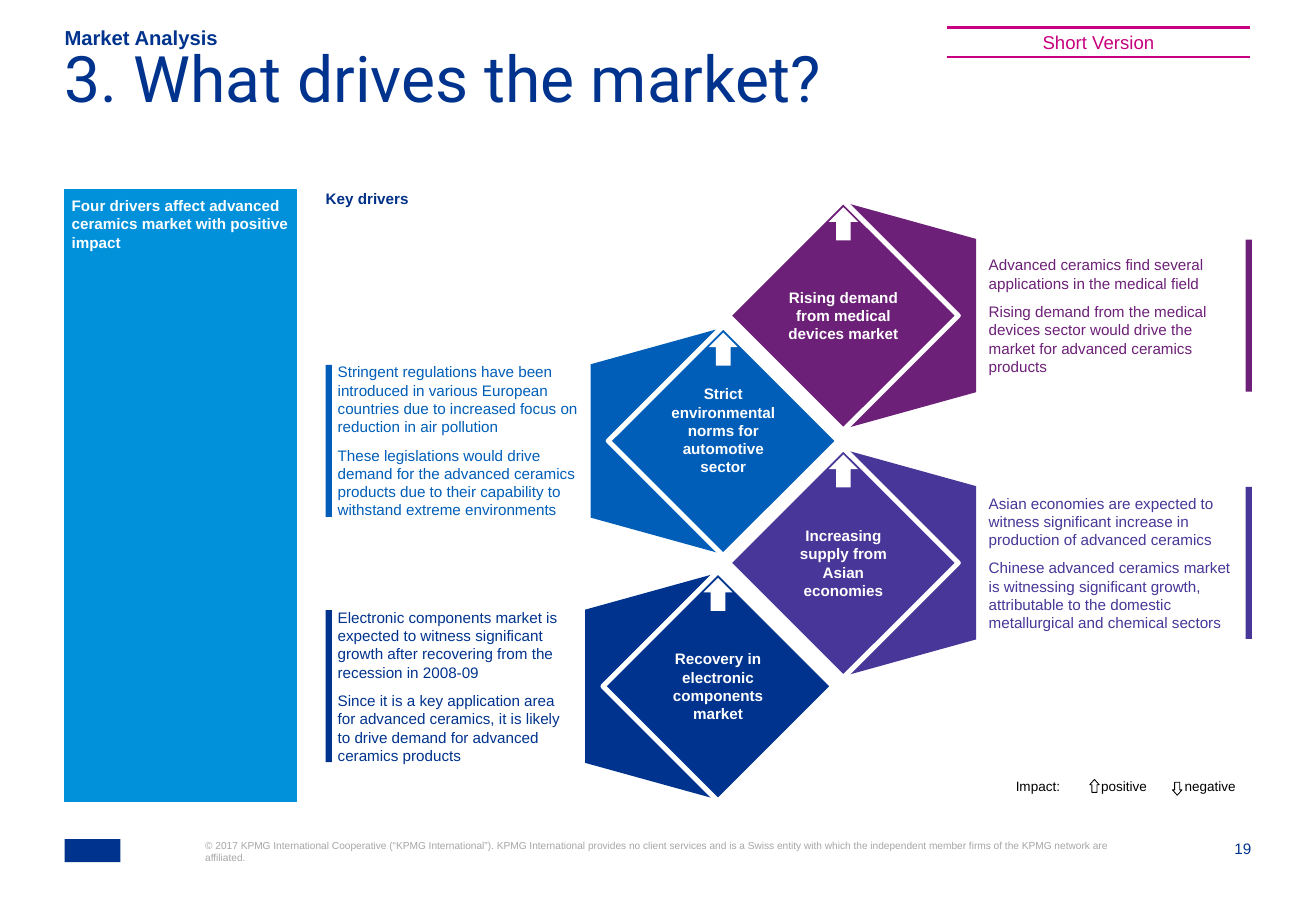
"""Build the market drivers slide with four diamonds and their explanations."""
from lxml.etree import SubElement
from pptx import Presentation
from pptx.dml.color import RGBColor
from pptx.enum.shapes import MSO_CONNECTOR, MSO_SHAPE
from pptx.enum.text import MSO_ANCHOR, MSO_AUTO_SIZE, PP_ALIGN
from pptx.oxml.ns import qn
from pptx.util import Cm, Pt

NAVY = RGBColor(0x00, 0x33, 0x8D)
HEADING_NAVY = RGBColor(0x00, 0x30, 0x87)
BLUE = RGBColor(0x00, 0x5E, 0xB8)
LIGHT_BLUE = RGBColor(0x00, 0x91, 0xDA)
PURPLE = RGBColor(0x6D, 0x20, 0x77)
VIOLET = RGBColor(0x48, 0x36, 0x98)
PINK = RGBColor(0xC6, 0x00, 0x7E)
GREY = RGBColor(0xA6, 0xA6, 0xA6)
WHITE = RGBColor(0xFF, 0xFF, 0xFF)
BLACK = RGBColor(0x00, 0x00, 0x00)

TITLE = "3. What drives the market?"
SECTION = "Market Analysis"
VERSION = "Short Version"
MESSAGE = "Four drivers affect advanced ceramics market with positive impact"
HEADING = "Key drivers"
COPYRIGHT = (
    "© 2017 KPMG International Cooperative (“KPMG International”). KPMG International "
    "provides no client services and is a Swiss entity with which the independent member "
    "firms of the KPMG network are affiliated."
)
PAGE = "19"
DRIVERS = [
    dict(name="Strict environmental norms for automotive sector",
         details=["Stringent regulations have been introduced in various European countries "
                  "due to increased focus on reduction in air pollution",
                  "These legislations would drive demand for the advanced ceramics products "
                  "due to their capability to withstand extreme environments"],
         colour=BLUE, center=(15.12, 9.22), side=-1, details_width=5.69, name_shift=-0.22),
    dict(name="Rising demand from medical devices market",
         details=["Advanced ceramics find several applications in the medical field",
                  "Rising demand from the medical devices sector would drive the market "
                  "for advanced ceramics products"],
         colour=PURPLE, center=(17.63, 6.6), side=1, details_width=5.72, name_shift=0),
    dict(name="Increasing supply from Asian economies",
         details=["Asian economies are expected to witness significant increase in "
                  "production of advanced ceramics",
                  "Chinese advanced ceramics market is witnessing significant growth, "
                  "attributable to the domestic metallurgical and chemical sectors"],
         colour=VIOLET, center=(17.63, 11.77), side=1, details_width=5.72, name_shift=0),
    dict(name="Recovery in electronic components market",
         details=["Electronic components market is expected to witness significant growth "
                  "after recovering from the recession in 2008-09",
                  "Since it is a key application area for advanced ceramics, it is likely "
                  "to drive demand for advanced ceramics products"],
         colour=NAVY, center=(15.01, 14.35), side=-1, details_width=5.44, name_shift=0),
]
LEGEND = ["Impact:", "positive", "negative"]
LEGEND_ARROWS = [(MSO_SHAPE.UP_ARROW, 22.78, 16.3), (MSO_SHAPE.DOWN_ARROW, 24.51, 16.36)]

DIAMOND = 3.4
TRAPEZOID = (4.75, 2.79)
TRAPEZOID_OFFSET = 1.38
ARROW = (0.61, 0.69)
ARROW_RISE = 1.92
NAME = (2.44, 1.94)
BAR = (0.13, 3.18)
BAR_LEFT = {-1: 6.81, 1: 26.04}
DETAILS_LEFT = {-1: 6.81, 1: 20.42}


def write(shape, paragraphs, size, colour, bold=False, align=PP_ALIGN.LEFT,
          anchor=MSO_ANCHOR.TOP, inset=(0, 0), gap=0, font="Arial"):
    frame = shape.text_frame
    frame.auto_size = MSO_AUTO_SIZE.NONE
    frame.word_wrap = True
    frame.vertical_anchor = anchor
    frame.margin_left = frame.margin_right = Cm(inset[0])
    frame.margin_top = frame.margin_bottom = Cm(inset[1])
    frame.text = "\n".join(paragraphs)
    for index, paragraph in enumerate(frame.paragraphs):
        paragraph.alignment = align
        paragraph.space_before = Pt(gap if index else 0)
        for run in paragraph.runs:
            run.font.name = font
            run.font.size = Pt(size)
            run.font.bold = bold
            run.font.color.rgb = colour


def add_text(slide, left, top, width, height, paragraphs, size, colour, **style):
    box = slide.shapes.add_textbox(Cm(left), Cm(top), Cm(width), Cm(height))
    write(box, paragraphs, size, colour, **style)


def add_block(slide, kind, left, top, width, height, fill, line=None, line_width=0.75):
    block = slide.shapes.add_shape(kind, Cm(left), Cm(top), Cm(width), Cm(height))
    block.shadow.inherit = False
    block.fill.solid()
    block.fill.fore_color.rgb = fill
    if line is None:
        block.line.fill.background()
    else:
        block.line.color.rgb = line
        block.line.width = Pt(line_width)
    return block


def add_centered(slide, kind, x, y, size, fill, **line):
    width, height = size
    return add_block(slide, kind, x - width / 2, y - height / 2, width, height, fill, **line)


def add_header(slide):
    title = slide.shapes.title
    title.left, title.top, title.width, title.height = Cm(1.35), Cm(1.24), Cm(24.77), Cm(2.01)
    write(title, [TITLE], 38, NAVY, font="Roboto")
    title.text_frame.paragraphs[0].line_spacing = 0.7
    add_text(slide, 1.35, 0.56, 22, 0.48, [SECTION], 12, NAVY, bold=True,
             anchor=MSO_ANCHOR.BOTTOM)
    left, top, width, height = 19.79, 0.58, 6.35, 0.61
    tag = add_block(slide, MSO_SHAPE.RECTANGLE, left, top, width, height, WHITE)
    write(tag, [VERSION], 11, PINK, align=PP_ALIGN.CENTER, anchor=MSO_ANCHOR.MIDDLE)
    for y in (top, top + height):
        rule = slide.shapes.add_connector(MSO_CONNECTOR.STRAIGHT, Cm(left), Cm(y),
                                          Cm(left + width), Cm(y))
        rule.line.color.rgb = PINK
        rule.line.width = Pt(1.5)
        SubElement(rule._element.spPr, qn("a:effectLst"))


def add_drivers(slide):
    for driver in DRIVERS:
        x, y = driver["center"]
        trapezoid = add_centered(slide, MSO_SHAPE.TRAPEZOID, x + driver["side"] * TRAPEZOID_OFFSET,
                                 y, TRAPEZOID, driver["colour"])
        trapezoid.adjustments[0] = 0.277
        trapezoid.rotation = 90 * driver["side"] % 360
    for driver in DRIVERS:
        x, y = driver["center"]
        side, colour = driver["side"], driver["colour"]
        diamond = add_centered(slide, MSO_SHAPE.RECTANGLE, x, y, (DIAMOND, DIAMOND), colour,
                               line=WHITE, line_width=3)
        diamond.rotation = 315
        add_centered(slide, MSO_SHAPE.UP_ARROW, x, y - ARROW_RISE, ARROW, WHITE)
        width, height = NAME
        add_text(slide, x - width / 2, y - height / 2 + driver["name_shift"], width, height,
                 [driver["name"]], 9, WHITE, bold=True, align=PP_ALIGN.CENTER,
                 anchor=MSO_ANCHOR.MIDDLE)
        width, height = BAR
        add_block(slide, MSO_SHAPE.RECTANGLE, BAR_LEFT[side], y - height / 2, width, height, colour)
        add_text(slide, DETAILS_LEFT[side], y - height / 2, driver["details_width"], height,
                 driver["details"], 9, colour, anchor=MSO_ANCHOR.MIDDLE,
                 inset=(0.25, 0.13), gap=6)


def add_legend(slide):
    for index, label in enumerate(LEGEND):
        add_text(slide, 21 + 1.8 * index, 16.28, 1.4, 0.33, [label], 8, BLACK,
                 align=PP_ALIGN.CENTER)
    for kind, left, top in LEGEND_ARROWS:
        arrow = add_block(slide, kind, left, top, 0.2, 0.27, WHITE, line=BLACK, line_width=0.5)
        arrow.adjustments[0] = 0.533
        arrow.adjustments[1] = 0.559


def main():
    deck = Presentation()
    deck.slide_width, deck.slide_height = Cm(27.51), Cm(19.05)
    slide = deck.slides.add_slide(deck.slide_layouts[5])
    add_header(slide)
    panel = add_block(slide, MSO_SHAPE.RECTANGLE, 1.35, 3.96, 4.85, 12.8, LIGHT_BLUE,
                      line=LIGHT_BLUE)
    write(panel, [MESSAGE], 9, WHITE, bold=True, inset=(0.15, 0.15))
    add_text(slide, 6.81, 3.96, 9.45, 0.64, [HEADING], 9, HEADING_NAVY, bold=True)
    add_drivers(slide)
    add_legend(slide)
    add_block(slide, MSO_SHAPE.RECTANGLE, 1.35, 17.55, 1.17, 0.48, NAVY)
    add_text(slide, 4.29, 17.55, 19.02, 1.04, [COPYRIGHT], 6, GREY)
    add_text(slide, 25.07, 17.55, 1.09, 0.41, [PAGE], 9, NAVY, align=PP_ALIGN.RIGHT)
    deck.save("out.pptx")


if __name__ == "__main__":
    main()
